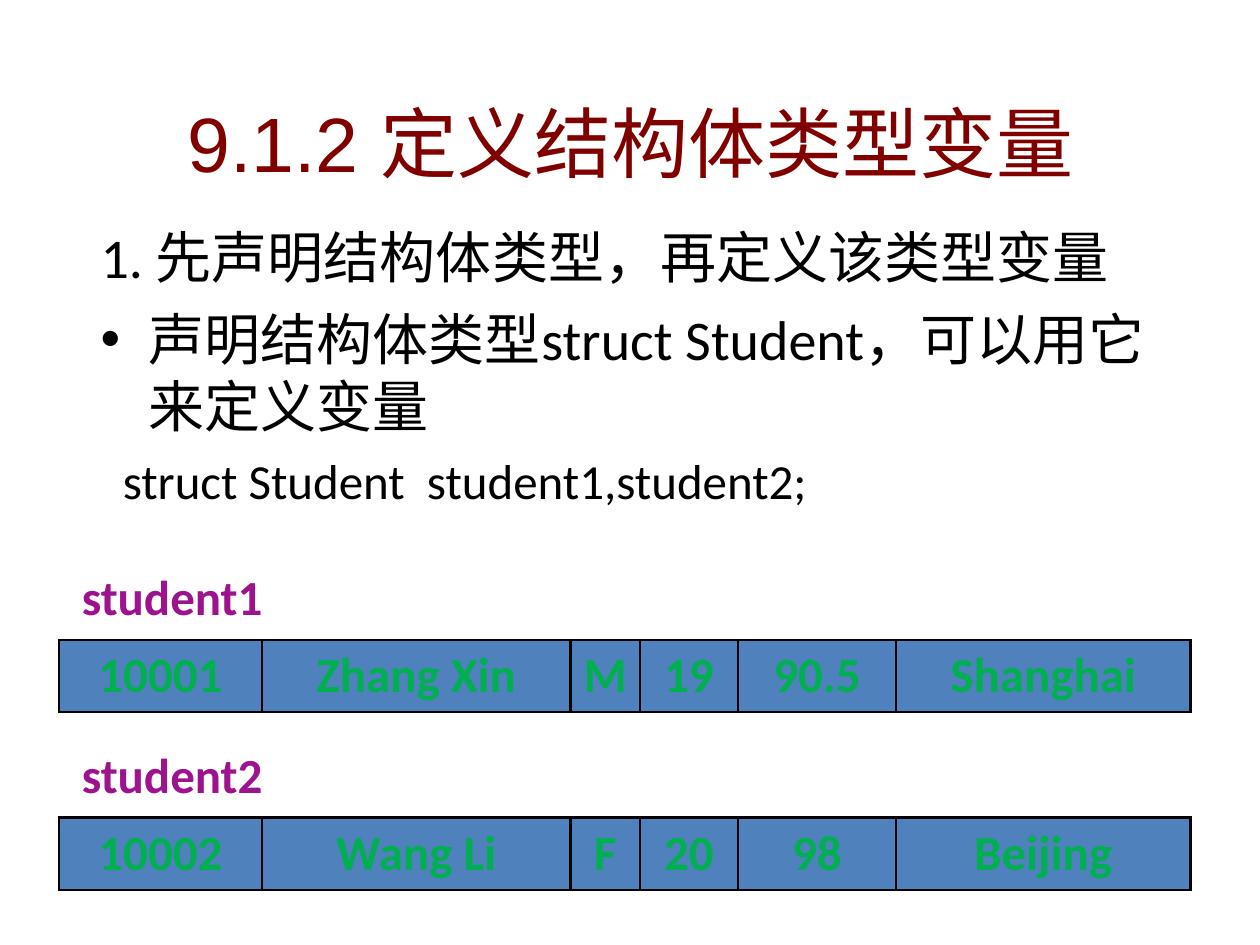
import pptx
import pptx.dml.color
import pptx.enum.text
import pptx.oxml
import pptx.oxml.ns
import pptx.util
from pptx.dml.color import RGBColor
from pptx.enum.text import MSO_ANCHOR, MSO_AUTO_SIZE, PP_ALIGN
from pptx.util import Cm

# Content
TITLE = "9.1.2 定义结构体类型变量"
BODY = [  # text, size, space before, bullet
    ("1. 先声明结构体类型，再定义该类型变量", 32, 0, False),
    ("声明结构体类型struct Student，可以用它来定义变量", 32, 8, True),
    ("  struct Student  student1,student2;", 28, 7, False),
]
STUDENTS = [
    ("student1", ["10001", "Zhang Xin", "M", "19", "90.5", "Shanghai"]),
    ("student2", ["10002", "Wang Li", "F", "20", "98", "Beijing"]),
]

# Colours and layout (cm)
MAROON = RGBColor(0x80, 0x00, 0x00)
BLACK = RGBColor(0x00, 0x00, 0x00)
PURPLE = RGBColor(0x9D, 0x13, 0x8D)
GREEN = RGBColor(0x00, 0xB0, 0x50)
BLUE = RGBColor(0x4F, 0x81, 0xBD)
COLUMN_WIDTHS = [4.09, 6.22, 1.4, 1.98, 3.18, 5.94]
ROW_HEIGHT = 1.46
LABEL_TOP = 11.3
LABEL_TO_TABLE = 1.6
STUDENT_PITCH = 3.58
BODY_INDENT = 0.97


def write(frame, text, size=28, font="Calibri", color=BLACK, bold=False,
          align=PP_ALIGN.LEFT, before=0, indent=None, bullet=False, new=False):
    paragraph = frame.add_paragraph() if new else frame.paragraphs[0]
    properties = paragraph._p.get_or_add_pPr()
    if indent is not None:
        properties.set("marL", str(Cm(indent)))
        properties.set("indent", str(-Cm(indent)))
    paragraph.alignment = align
    paragraph.space_before = pptx.util.Pt(before)
    if bullet:
        namespace = pptx.oxml.ns.nsdecls("a")
        for markup in (f'<a:buFont {namespace} typeface="Arial"/>',
                       f'<a:buChar {namespace} char="•"/>'):
            properties.append(pptx.oxml.parse_xml(markup))
    run = paragraph.add_run()
    run.text = text
    run.font.size = pptx.util.Pt(size)
    run.font.name = font
    run.font.bold = bold
    run.font.color.rgb = color


def add_text_box(slide, left, top, width, height):
    frame = slide.shapes.add_textbox(Cm(left), Cm(top), Cm(width), Cm(height)).text_frame
    frame.word_wrap = True
    return frame


def set_borders(cell):
    properties = cell._tc.get_or_add_tcPr()
    for position, side in enumerate(("lnL", "lnR", "lnT", "lnB")):
        properties.insert(position, pptx.oxml.parse_xml(
            f'<a:{side} {pptx.oxml.ns.nsdecls("a")} w="{pptx.util.Pt(1.5)}">'
            f'<a:solidFill><a:srgbClr val="{BLACK}"/></a:solidFill></a:{side}>'))


def add_record(slide, values, top):
    table = slide.shapes.add_table(1, len(values), Cm(1.19), Cm(top),
                                   Cm(sum(COLUMN_WIDTHS)), Cm(ROW_HEIGHT)).table
    table.first_row = False
    table.horz_banding = False
    for column, width, value in zip(table.columns, COLUMN_WIDTHS, values):
        column.width = Cm(width)
    for cell, value in zip(table.rows[0].cells, values):
        cell.fill.solid()
        cell.fill.fore_color.rgb = BLUE
        set_borders(cell)
        write(cell.text_frame, value, color=GREEN, bold=True, align=PP_ALIGN.CENTER)


def main():
    presentation = pptx.Presentation()
    presentation.slide_width, presentation.slide_height = Cm(25.4), Cm(19.05)
    slide = presentation.slides.add_slide(presentation.slide_layouts[5])

    # Title
    title = slide.shapes.title
    title.left, title.top, title.width, title.height = Cm(0.41), Cm(1.8), Cm(24.61), Cm(2.13)
    title.text_frame.auto_size = MSO_AUTO_SIZE.NONE
    title.text_frame.vertical_anchor = MSO_ANCHOR.MIDDLE
    write(title.text_frame, TITLE, size=44, font="Arial", color=MAROON,
          align=PP_ALIGN.CENTER)

    # Explanation
    body = add_text_box(slide, 1.78, 4.37, 21.82, 9.32)
    for index, (text, size, before, bullet) in enumerate(BODY):
        write(body, text, size=size, before=before, indent=BODY_INDENT,
              bullet=bullet, new=index > 0)

    # Labelled student records
    for index, (name, values) in enumerate(STUDENTS):
        top = LABEL_TOP + index * STUDENT_PITCH
        add_record(slide, values, top + LABEL_TO_TABLE)
        label = add_text_box(slide, 1.4, top, 5.94, 1.45)
        label.auto_size = MSO_AUTO_SIZE.SHAPE_TO_FIT_TEXT
        write(label, name, color=PURPLE, bold=True)

    presentation.save("out.pptx")


if __name__ == "__main__":
    main()
